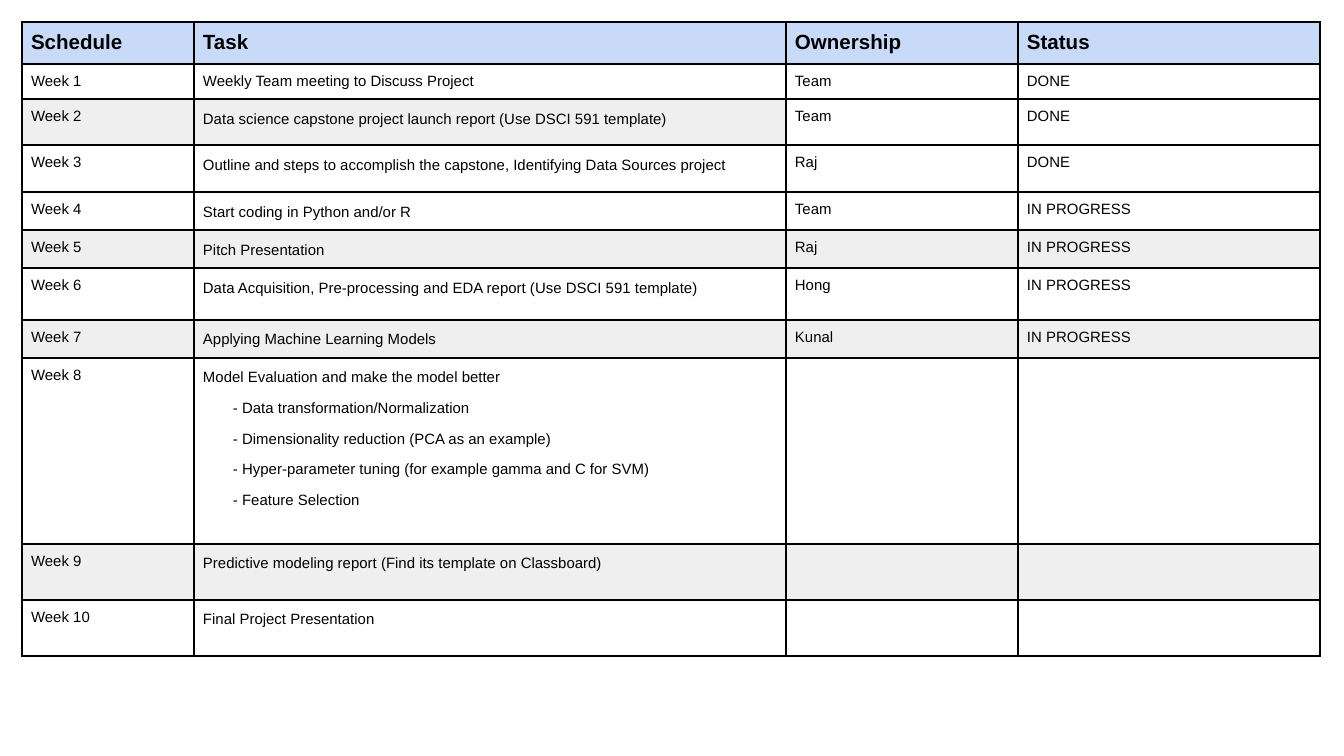
from dataclasses import dataclass

from lxml.etree import SubElement
from pptx import Presentation
from pptx.dml.color import RGBColor
from pptx.enum.text import PP_ALIGN
from pptx.oxml.ns import qn
from pptx.util import Emu, Pt

EMU_PER_PX = 914400 / 134.4


@dataclass(frozen=True)
class Theme:
    font: str = "Arial"
    ink: str = "000000"
    header: str = "C9DAF8"
    band: str = "EFEFEF"
    paper: str = "FFFFFF"
    header_size: int = 11
    body_size: int = 8
    border: int = 1


@dataclass(frozen=True)
class Week:
    height: int
    task: str
    owner: str = ""
    status: str = ""
    shaded: int = 0
    steps: tuple[str, ...] = ()


THEME = Theme()
LEFT, TOP, MARGIN, STEP_INDENT = 22, 22, 9, 30
HEADER_HEIGHT = 42
COLUMNS = {"Schedule": 172, "Task": 592, "Ownership": 232, "Status": 302}
WEEKS = [
    Week(35, "Weekly Team meeting to Discuss Project", "Team", "DONE"),
    Week(46, "Data science capstone project launch report (Use DSCI 591 template)",
         "Team", "DONE", shaded=2),
    Week(47, "Outline and steps to accomplish the capstone, Identifying Data Sources project",
         "Raj", "DONE"),
    Week(38, "Start coding in Python and/or R", "Team", "IN PROGRESS"),
    Week(38, "Pitch Presentation", "Raj", "IN PROGRESS", shaded=4),
    Week(52, "Data Acquisition, Pre-processing and EDA report (Use DSCI 591 template)",
         "Hong", "IN PROGRESS"),
    Week(38, "Applying Machine Learning Models", "Kunal", "IN PROGRESS", shaded=4),
    Week(186, "Model Evaluation and make the model better", steps=(
        "- Data transformation/Normalization",
        "- Dimensionality reduction (PCA as an example)",
        "- Hyper-parameter tuning (for example gamma and C for SVM)",
        "- Feature Selection",
    )),
    Week(56, "Predictive modeling report (Find its template on Classboard)", shaded=4),
    Week(56, "Final Project Presentation"),
]


def px(n: int) -> Emu:
    return Emu(round(n * EMU_PER_PX))


def write(p, text: str, *, size: int = THEME.body_size, bold: bool = False,
          justify: bool = False, before: int = 0, indent: int = 0) -> None:
    if justify:
        p.alignment = PP_ALIGN.JUSTIFY
        p.line_spacing = 1.15
    if before:
        p.space_before = Pt(before)
    if indent:
        p._p.get_or_add_pPr().set("marL", str(px(indent)))
    if not text:
        SubElement(p._p, qn("a:endParaRPr"), sz=str(size * 100))
        return
    r = p.add_run()
    r.text = text
    r.font.name = THEME.font
    r.font.size = Pt(size)
    r.font.bold = bold
    r.font.color.rgb = RGBColor.from_string(THEME.ink)


def style_cell(cell, fill: str) -> None:
    cell.margin_left = cell.margin_right = px(MARGIN)
    cell.margin_top = cell.margin_bottom = px(MARGIN)
    tc_pr = cell._tc.get_or_add_tcPr()
    for side in ("lnL", "lnR", "lnT", "lnB"):
        ln = SubElement(tc_pr, qn(f"a:{side}"), w=str(Pt(THEME.border)))
        SubElement(SubElement(ln, qn("a:solidFill")), qn("a:srgbClr"), val=THEME.ink)
    cell.fill.solid()
    cell.fill.fore_color.rgb = RGBColor.from_string(fill)


def fill_header(table) -> None:
    table.rows[0].height = px(HEADER_HEIGHT)
    for c, (title, width) in enumerate(COLUMNS.items()):
        table.columns[c].width = px(width)
        cell = table.cell(0, c)
        style_cell(cell, THEME.header)
        write(cell.text_frame.paragraphs[0], title, size=THEME.header_size, bold=True)


def fill_week(table, number: int, week: Week) -> None:
    table.rows[number].height = px(week.height)
    texts = (f"Week {number}", week.task, week.owner, week.status)
    for c, text in enumerate(texts):
        cell = table.cell(number, c)
        style_cell(cell, THEME.band if c < week.shaded else THEME.paper)
        write(cell.text_frame.paragraphs[0], text, justify=c == 1 and number > 1)
    tf = table.cell(number, 1).text_frame
    for step in week.steps:
        write(tf.add_paragraph(), step, justify=True, before=6, indent=STEP_INDENT)


def main() -> None:
    prs = Presentation()
    prs.slide_width, prs.slide_height = px(1344), px(756)
    s = prs.slides.add_slide(prs.slide_layouts[6])
    height = HEADER_HEIGHT + sum(week.height for week in WEEKS)
    table = s.shapes.add_table(len(WEEKS) + 1, len(COLUMNS), px(LEFT), px(TOP),
                               px(sum(COLUMNS.values())), px(height)).table
    table.first_row = table.horz_banding = False
    fill_header(table)
    for number, week in enumerate(WEEKS, start=1):
        fill_week(table, number, week)
    prs.save("out.pptx")


if __name__ == "__main__":
    main()
